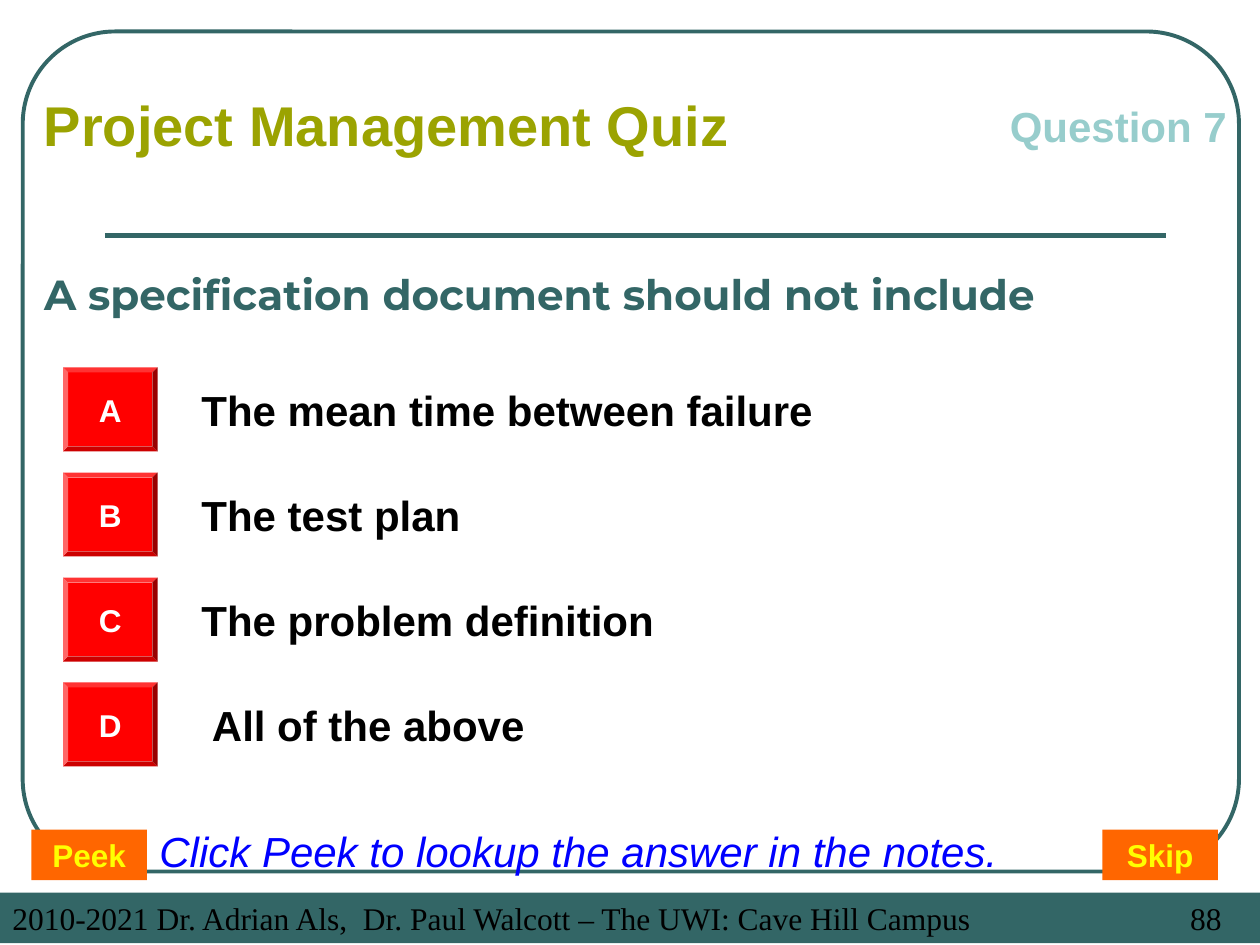
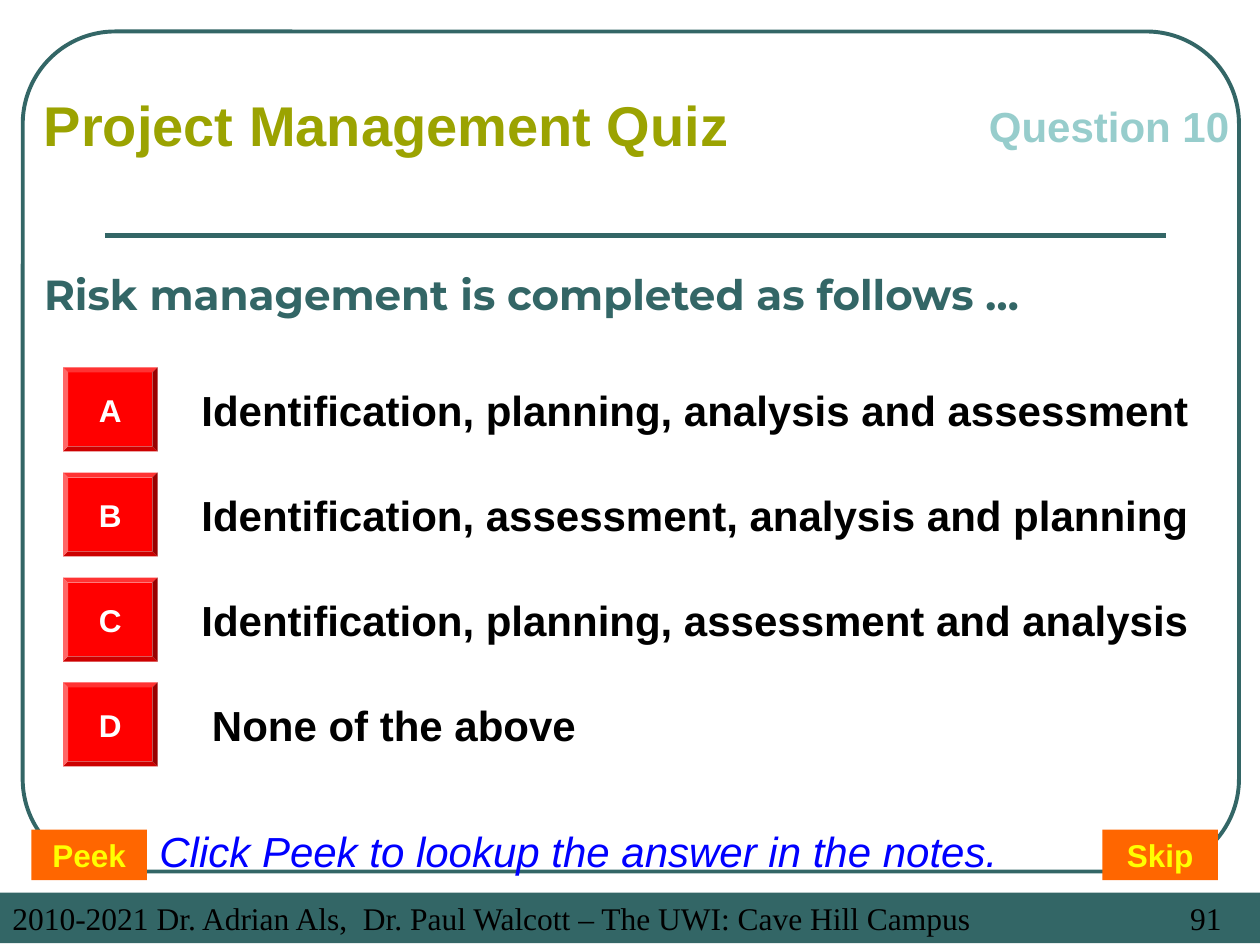
from dataclasses import dataclass

import pptx
import pptx.dml.color
import pptx.enum.shapes
import pptx.enum.text
import pptx.oxml.ns
import pptx.slide
import pptx.text.text
import pptx.util
from lxml import etree

Pt = pptx.util.Pt
Shape = pptx.enum.shapes.MSO_SHAPE
Align = pptx.enum.text.PP_ALIGN


@dataclass(frozen=True)
class TextStyle:
    size: float
    color: str
    font: str = "Arial"
    bold: bool = True
    italic: bool = False
    align: Align = Align.LEFT


@dataclass(frozen=True)
class Theme:
    teal: str = "336666"
    answer_red: str = "FF0000"
    button_orange: str = "FF6600"
    heading: TextStyle = TextStyle(32, "9BA301")
    number: TextStyle = TextStyle(24, "97CDCC")
    question: TextStyle = TextStyle(24, "336666", font="Montserrat")
    answer: TextStyle = TextStyle(24, "000000")
    letter: TextStyle = TextStyle(18, "FFFFFF", align=Align.CENTER)
    button: TextStyle = TextStyle(18, "FFFF00", align=Align.CENTER)
    hint: TextStyle = TextStyle(24, "0000FF", bold=False, italic=True)
    footer: TextStyle = TextStyle(18, "000000", font="Times New Roman", bold=False)


@dataclass(frozen=True)
class Area:
    """A rectangle in points."""
    left: float
    top: float
    width: float
    height: float

    def lengths(self) -> tuple:
        return Pt(self.left), Pt(self.top), Pt(self.width), Pt(self.height)


@dataclass(frozen=True)
class Question:
    label: str
    label_left: float
    text: str
    answers: tuple[str, ...]
    page_number: int


THEME = Theme()
SLIDE = Area(0, 0, 720, 540)
FRAME = Area(13, 18, 695, 480)
FOOTER = Area(0, 510, 720, 29)
TITLE = Area(18, 114, 684, 108)
HEADING = Area(18, 48, 468, 46)
HINT = Area(84, 468, 516, 36)
BUTTONS = {"Peek": Area(18, 474, 66, 29), "Skip": Area(630, 474, 66, 29)}
RULE_LEFT, RULE_RIGHT, RULE_TOP = 60, 666, 134.5
NUMBER_TOP = 54
ANSWER_TOP, ANSWER_STEP = 210, 60
LAST_ANSWER_SHIFT = 6
PAGE_NUMBER_TAB = 691
FOOTER_TEXT = "2010-2021 Dr. Adrian Als,  Dr. Paul Walcott – The UWI: Cave Hill Campus"

QUESTIONS = (
    Question("Question 7", 570, "A specification document should not include",
             ("The mean time between failure", "The test plan",
              "The problem definition", "All of the above"), 88),
    Question("Question 10", 558, "Risk management is completed as follows …",
             ("Identification, planning, analysis and assessment",
              "Identification, assessment, analysis and planning",
              "Identification, planning, assessment and analysis",
              "None of the above"), 91),
)


def rgb(color: str) -> pptx.dml.color.RGBColor:
    return pptx.dml.color.RGBColor.from_string(color)


def write(frame: pptx.text.text.TextFrame, text: str, style: TextStyle) -> None:
    frame.text = text
    frame.word_wrap = True
    frame.auto_size = pptx.enum.text.MSO_AUTO_SIZE.NONE
    frame.vertical_anchor = pptx.enum.text.MSO_ANCHOR.MIDDLE
    para = frame.paragraphs[0]
    para.alignment = style.align
    for span in para.runs:
        span.font.name = style.font
        span.font.size = Pt(style.size)
        span.font.bold = style.bold
        span.font.italic = style.italic
        span.font.color.rgb = rgb(style.color)


def add_text(page: pptx.slide.Slide, area: Area, text: str, style: TextStyle) -> None:
    write(page.shapes.add_textbox(*area.lengths()).text_frame, text, style)


def add_filled(page: pptx.slide.Slide, kind: Shape, area: Area, color: str,
               text: str, style: TextStyle):
    box = page.shapes.add_shape(kind, *area.lengths())
    box.shadow.inherit = False
    box.fill.solid()
    box.fill.fore_color.rgb = rgb(color)
    box.line.fill.background()
    write(box.text_frame, text, style)
    return box


def add_frame(page: pptx.slide.Slide) -> None:
    """Draw the rounded border and the rule under the heading."""
    border = page.shapes.add_shape(Shape.ROUNDED_RECTANGLE, *FRAME.lengths())
    border.adjustments[0] = 0.11
    border.shadow.inherit = False
    border.fill.background()
    border.line.color.rgb = rgb(THEME.teal)
    border.line.width = Pt(2.25)
    rule = page.shapes.add_connector(
        pptx.enum.shapes.MSO_CONNECTOR.STRAIGHT,
        Pt(RULE_LEFT), Pt(RULE_TOP), Pt(RULE_RIGHT), Pt(RULE_TOP))
    rule.line.color.rgb = rgb(THEME.teal)
    rule.line.width = Pt(3)
    etree.SubElement(rule._element.spPr, pptx.oxml.ns.qn("a:effectLst"))


def add_footer(page: pptx.slide.Slide, page_number: int) -> None:
    band = add_filled(page, Shape.RECTANGLE, FOOTER, THEME.teal,
                      f"{FOOTER_TEXT}\t{page_number}", THEME.footer)
    properties = band.text_frame.paragraphs[0]._p.get_or_add_pPr()
    tabs = etree.SubElement(properties, pptx.oxml.ns.qn("a:tabLst"))
    etree.SubElement(tabs, pptx.oxml.ns.qn("a:tab"),
                     pos=str(Pt(PAGE_NUMBER_TAB)), algn="r")


def add_answers(page: pptx.slide.Slide, answers: tuple[str, ...]) -> None:
    for index, (letter, answer) in enumerate(zip("ABCD", answers)):
        top = ANSWER_TOP + index * ANSWER_STEP
        key = add_filled(page, Shape.BEVEL, Area(36, top, 54, 48),
                         THEME.answer_red, letter, THEME.letter)
        key.adjustments[0] = 0.06
        shift = LAST_ANSWER_SHIFT if letter == "D" else 0
        add_text(page, Area(108 + shift, top + 6, 594, 36), answer, THEME.answer)


def add_question(deck, question: Question) -> None:
    page = deck.slides.add_slide(deck.slide_layouts.get_by_name("Title Only"))
    title = page.shapes.title
    title.left, title.top, title.width, title.height = TITLE.lengths()
    write(title.text_frame, question.text, THEME.question)
    add_frame(page)
    add_footer(page, question.page_number)
    add_text(page, HEADING, "Project Management Quiz", THEME.heading)
    number_area = Area(question.label_left, NUMBER_TOP,
                       SLIDE.width - question.label_left, 36)
    add_text(page, number_area, question.label, THEME.number)
    add_answers(page, question.answers)
    for label, area in BUTTONS.items():
        add_filled(page, Shape.RECTANGLE, area, THEME.button_orange, label, THEME.button)
    add_text(page, HINT, "Click Peek to lookup the answer in the notes.", THEME.hint)


def main() -> None:
    deck = pptx.Presentation()
    deck.slide_width, deck.slide_height = Pt(SLIDE.width), Pt(SLIDE.height)
    for question in QUESTIONS:
        add_question(deck, question)
    deck.save("out.pptx")


if __name__ == "__main__":
    main()
